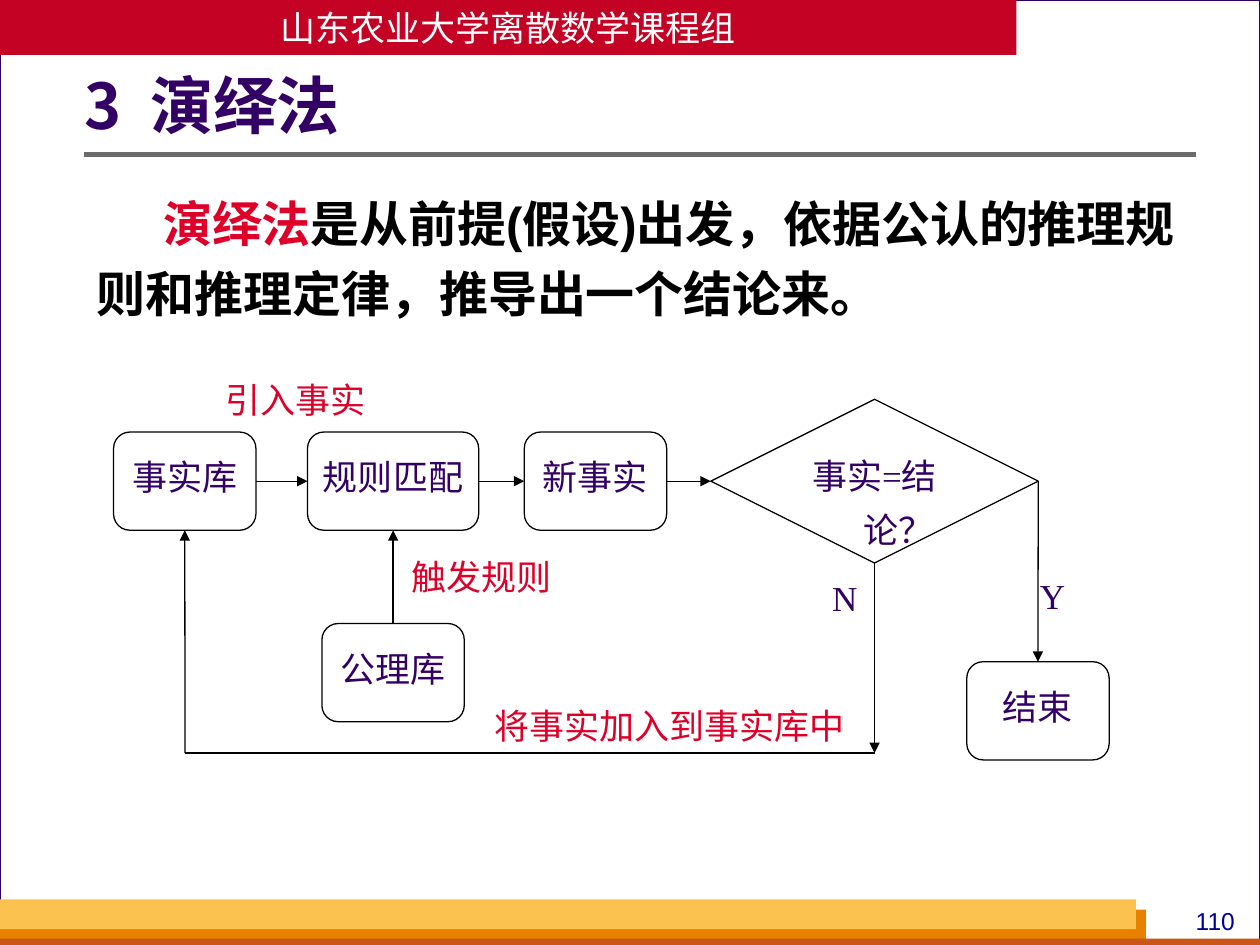
import pptx
import pptx.util
import pptx.dml.color
import pptx.enum.shapes
import pptx.enum.text
import pptx.oxml.ns
from lxml import etree

Cm = pptx.util.Cm
Pt = pptx.util.Pt
RGBColor = pptx.dml.color.RGBColor
Shape = pptx.enum.shapes.MSO_SHAPE
Anchor = pptx.enum.text.MSO_ANCHOR
Align = pptx.enum.text.PP_ALIGN
qn = pptx.oxml.ns.qn

WHITE = RGBColor(0xFF, 0xFF, 0xFF)
BLACK = RGBColor(0, 0, 0)
PURPLE = RGBColor(0x33, 0x00, 0x66)
RED = RGBColor(0xDF, 0x00, 0x29)
CRIMSON = RGBColor(0xC3, 0x02, 0x24)
ORANGE = RGBColor(0xE8, 0x80, 0x00)
RUST = RGBColor(0xC9, 0x56, 0x16)
GOLD = RGBColor(0xFC, 0xC2, 0x4F)
GRAY = RGBColor(0x6B, 0x6B, 0x6B)
NAVY = RGBColor(0x00, 0x00, 0x99)
BACKDROP = RGBColor(0xD8, 0xDA, 0xDA)
SANS = "Noto Sans CJK SC"

deck = pptx.Presentation()
deck.slide_width, deck.slide_height = Cm(25.4), Cm(19.05)
page = deck.slides.add_slide(deck.slide_layouts[6])
page.background.fill.solid()
page.background.fill.fore_color.rgb = BACKDROP


def write(box, *texts, size=20, font="Times New Roman", colors=(PURPLE,), bold=False,
          align=Align.CENTER, anchor=Anchor.TOP, spacing=1.3, margins=(0.25, 0.13),
          wrap=True, left=0, first=0):
    frame = box.text_frame
    frame.word_wrap = wrap
    frame.vertical_anchor = anchor
    frame.margin_left = frame.margin_right = Cm(margins[0])
    frame.margin_top = frame.margin_bottom = Cm(margins[1])
    para = frame.paragraphs[0]
    para.alignment = align
    para.line_spacing = spacing
    properties = para._p.get_or_add_pPr()
    properties.set("marL", str(Cm(left)))
    properties.set("indent", str(Cm(first)))
    for text, color in zip(texts, colors):
        span = para.add_run()
        span.text = text
        span.font.size = Pt(size)
        span.font.name = font
        span.font.bold = bold
        span.font.color.rgb = color
        if font == SANS:
            etree.SubElement(span.font._element, qn("a:ea")).set("typeface", SANS)


def draw_line(start, end, color=BLACK, width=0.75, arrow=True):
    places = [spot if isinstance(spot[0], float) else (0, 0) for spot in (start, end)]
    line = page.shapes.add_connector(
        pptx.enum.shapes.MSO_CONNECTOR.STRAIGHT,
        *[Cm(value) for place in places for value in place])
    for spot, connect in ((start, line.begin_connect), (end, line.end_connect)):
        if not isinstance(spot[0], float):
            connect(*spot)
    line.line.color.rgb = color
    line.line.width = Pt(width)
    if arrow:
        etree.SubElement(line.line._get_or_add_ln(), qn("a:tailEnd")).set("type", "triangle")
    etree.SubElement(line._element.spPr, qn("a:effectLst"))


bands = []
for x, y, width, height, fill, outline in (
    (0, 0, 25.4, 19.05, WHITE, PURPLE),
    (0, 18.34, 23.1, 0.71, ORANGE, None),
    (0, 18.92, 25.4, 0.2, RUST, None),
    (0, 18.13, 22.9, 0.6, GOLD, None),
    (0, 0, 20.49, 1.11, CRIMSON, None),
):
    band = page.shapes.add_shape(Shape.RECTANGLE, Cm(x), Cm(y), Cm(width), Cm(height))
    band.shadow.inherit = False
    band.fill.solid()
    band.fill.fore_color.rgb = fill
    if outline:
        band.line.color.rgb = outline
        band.line.width = Pt(0.75)
    else:
        band.line.fill.background()
    bands.append(band)
write(bands[-1], "山东农业大学离散数学课程组", font=SANS, colors=[WHITE],
      anchor=Anchor.MIDDLE, spacing=1.0, wrap=False)
draw_line((1.7, 3.12), (24.1, 3.12), color=GRAY, width=3, arrow=False)

number = page.shapes.add_textbox(Cm(23.7), Cm(18.13), Cm(1.6), Cm(0.86))
write(number, "110", size=14, font="Arial", colors=[NAVY], spacing=1.0)
title = page.shapes.add_textbox(Cm(1.7), Cm(0.91), Cm(22.4), Cm(2.57))
write(title, "3  演绎法", size=36, font=SANS, bold=True, align=Align.LEFT,
      anchor=Anchor.MIDDLE, spacing=0.9, margins=(0, 0.13))
body = page.shapes.add_textbox(Cm(1.7), Cm(3.53), Cm(22.4), Cm(3.2))
write(body, "演绎法", "是从前提(假设)出发，依据公认的推理规则和推理定律，推导出一个结论来。",
      size=28, font="Arial", colors=[RED, BLACK], bold=True, align=Align.LEFT,
      spacing=1.2, first=1.35)

nodes = {}
for text, kind, x, y, width, height in (
    ("事实库", Shape.FLOWCHART_ALTERNATE_PROCESS, 2.29, 8.71, 2.87, 1.98),
    ("规则匹配", Shape.FLOWCHART_ALTERNATE_PROCESS, 6.2, 8.71, 3.45, 1.98),
    ("新事实", Shape.FLOWCHART_ALTERNATE_PROCESS, 10.57, 8.71, 2.87, 1.98),
    ("事实=结论？", Shape.FLOWCHART_DECISION, 14.33, 8.05, 6.6, 3.3),
    ("公理库", Shape.FLOWCHART_ALTERNATE_PROCESS, 6.49, 12.57, 2.87, 1.98),
    ("结束", Shape.FLOWCHART_ALTERNATE_PROCESS, 19.49, 13.34, 2.87, 1.98),
):
    node = page.shapes.add_shape(kind, Cm(x), Cm(y), Cm(width), Cm(height))
    node.shadow.inherit = False
    node.fill.solid()
    node.fill.fore_color.rgb = WHITE
    node.line.color.rgb = BLACK
    node.line.width = Pt(0.75)
    if kind == Shape.FLOWCHART_DECISION:
        write(node, text, margins=(0.05, 0.03), left=0.97, first=-0.97)
    else:
        write(node, text, margins=(0.15, 0.13))
    nodes[text] = node

facts, rules, fresh, decision, axioms, finish = nodes.values()
corner_right, corner_left = (17.63, 15.18), (3.73, 15.18)
for start, end in (
    ((facts, 3), (rules, 1)),
    ((rules, 3), (fresh, 1)),
    ((fresh, 3), (decision, 1)),
    ((axioms, 0), (rules, 2)),
    ((decision, 3), (finish, 0)),
    ((decision, 2), corner_right),
    (corner_left, (facts, 2)),
):
    draw_line(start, end)
draw_line(corner_right, corner_left, arrow=False)

for text, color, x, y, width in (
    ("引入事实", RED, 3.96, 7.14, 4.01),
    ("触发规则", RED, 7.7, 10.72, 4.01),
    ("将事实加入到事实库中", RED, 9.5, 13.72, 8.0),
    ("N", PURPLE, 16.46, 11.13, 1.14),
    ("Y", PURPLE, 20.65, 11.1, 1.14),
):
    label = page.shapes.add_textbox(Cm(x), Cm(y + 0.1), Cm(width), Cm(1.78))
    write(label, text, colors=[color], margins=(0, 0.13))

deck.save("out.pptx")
